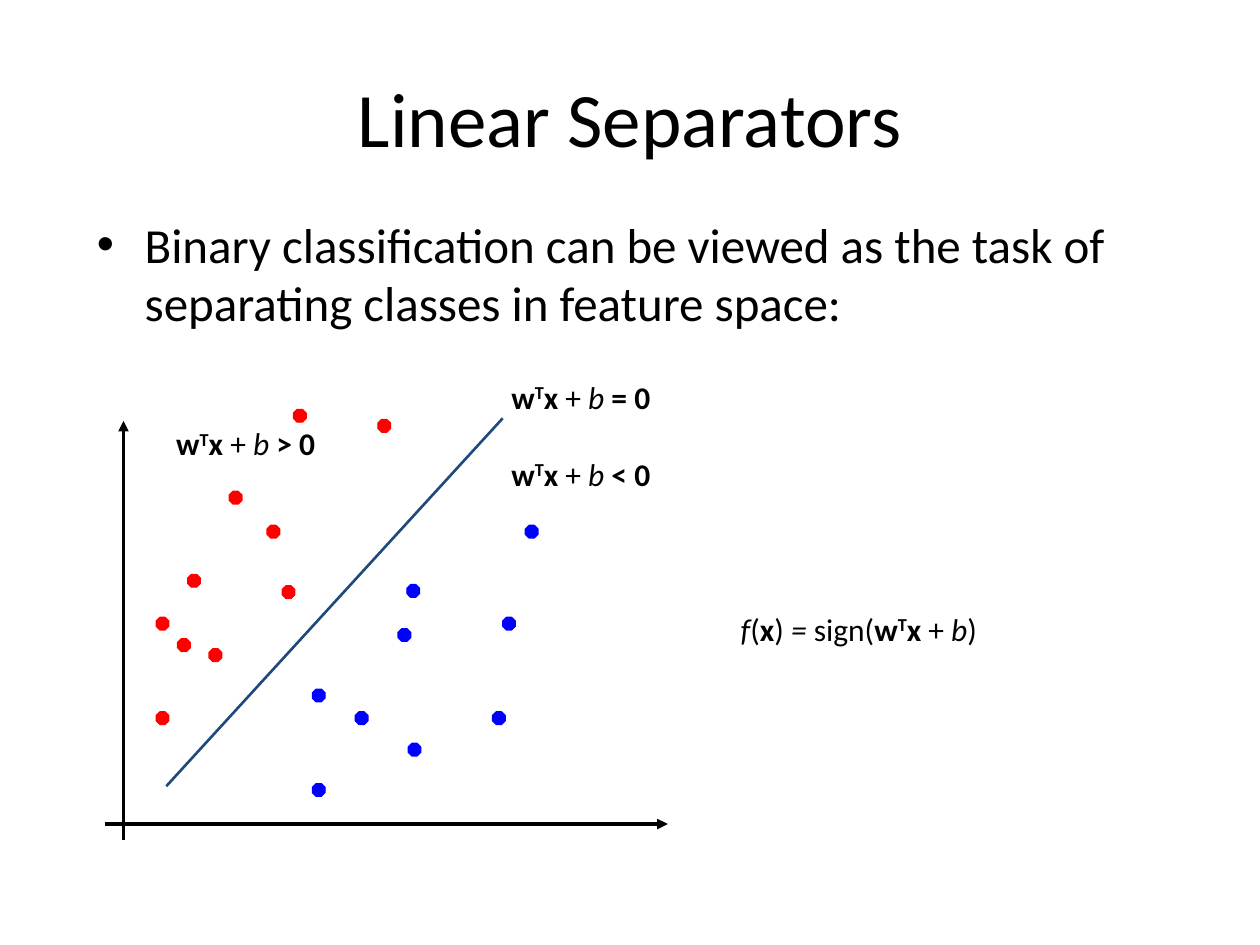
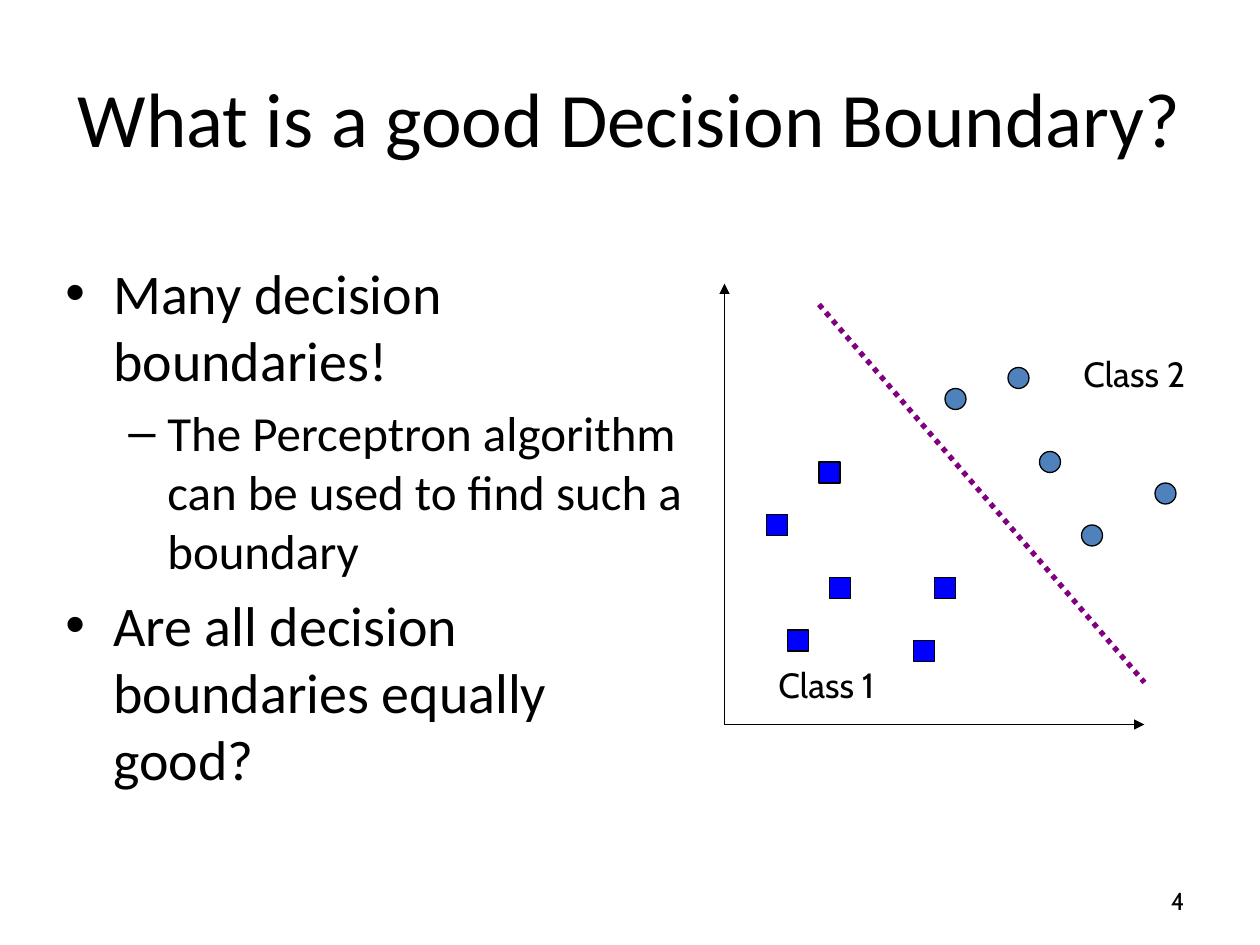
from lxml.etree import SubElement
from pptx import Presentation
from pptx.dml.color import RGBColor
from pptx.enum.dml import MSO_LINE as Dash
from pptx.enum.shapes import MSO_CONNECTOR as Conn, MSO_SHAPE as Kind
from pptx.enum.text import MSO_ANCHOR as Anchor, PP_ALIGN as Align
from pptx.oxml.ns import qn
from pptx.util import Inches, Pt

COLS, ROWS = 100, 75
WIDE, HIGH = Inches(10), Inches(7.5)
STEP = 10 / 12
TITLE_BOX = (5, 3, 90, 12.5)
MAIN, ALT = "Calibri", "Cabin"
HUES = {
    "ink": "000000", "red": "FF0000", "blue": "0000FF",
    "navy": "1F497D", "steel": "4F81BD", "plum": "800080",
}
LEVELS = [("•", 0.38, 0.38), ("–", 0.81, 0.31)]

RED_DOTS = [
    (21.2, 41.7), (14.9, 45.6), (16.6, 51.5), (12.4, 56.5), (18.2, 39),
    (12.4, 49), (14.1, 50.7), (22.4, 46.5), (23.3, 32.5), (30, 33.3),
]
BLUE_DOTS = [
    (32.3, 46.4), (28.2, 56.5), (39.1, 56.5), (24.8, 62.2), (31.6, 49.9),
    (24.8, 54.7), (32.4, 59), (39.9, 49), (41.7, 41.7),
]
DISCS = [(96, 35), (99, 43), (110, 46), (90, 37), (103, 50)]
SQUARES = [(73, 49), (89, 55), (87, 61), (79, 55), (75, 60), (78, 44)]

SCORE = [("w", "b"), ("T", "bs"), ("x ", "b"), ("+ ", ""), ("b", "i")]
RULE = [("f", "i"), ("(", ""), ("x", "b"), (")", ""), (" = ", "i"), ("sign(", "")]


def place(*cells):
    """Turn alternating columns and rows into slide lengths."""
    units = (WIDE / COLS, HIGH / ROWS)
    return [round(n * units[i % 2]) for i, n in enumerate(cells)]


def scale(spots):
    """Turn steps of a twelfth of an inch into grid cells."""
    return [(x * STEP, y * STEP) for x, y in spots]


def hue(name):
    """Look up a colour by name."""
    return RGBColor.from_string(HUES[name])


def style(para, size, face=MAIN):
    """Set the font of a paragraph."""
    font = para.font
    font.size, font.name = Pt(size), face
    font.color.rgb = hue("ink")


def start(deck, title):
    """Add a title-only slide with its heading."""
    slide = deck.slides.add_slide(deck.slide_layouts[5])
    head = slide.shapes.title
    head.left, head.top, head.width, head.height = place(*TITLE_BOX)
    frame = head.text_frame
    frame.text, frame.vertical_anchor = title, Anchor.MIDDLE
    frame.paragraphs[0].alignment = Align.CENTER
    style(frame.paragraphs[0], 44)
    return slide


def frame_at(slide, box, wrap=True):
    """Add a text box and return its frame."""
    frame = slide.shapes.add_textbox(*place(*box)).text_frame
    frame.word_wrap = wrap
    return frame


def label(slide, box, text, size, wrap=True, align=Align.LEFT, anchor=Anchor.TOP):
    """Write one short line of text."""
    frame = frame_at(slide, box, wrap)
    frame.text, frame.vertical_anchor = text, anchor
    frame.paragraphs[0].alignment = align
    style(frame.paragraphs[0], size, ALT)


def math(slide, box, parts):
    """Write a formula from runs marked b, i or s for superscript."""
    para = frame_at(slide, box).paragraphs[0]
    style(para, 18)
    for text, marks in parts:
        run = para.add_run()
        run.text = text
        run.font.bold, run.font.italic = "b" in marks, "i" in marks
        if "s" in marks:
            run.font._element.set("baseline", "30000")


def bullets(slide, box, items):
    """Write bulleted lines given as level, size and text."""
    frame = frame_at(slide, box)
    for i, (level, size, text) in enumerate(items):
        para = frame.add_paragraph() if i else frame.paragraphs[0]
        para.text, para.level = text, level
        sign, left, hang = LEVELS[level]
        props = para._p.get_or_add_pPr()
        props.set("marL", str(Inches(left)))
        props.set("indent", str(-Inches(hang)))
        SubElement(props, qn("a:buFont")).set("typeface", "Arial")
        SubElement(props, qn("a:buChar")).set("char", sign)
        if i:
            para.space_before = Pt(size * 0.2)
        style(para, size)


def line(slide, ends, color, width, dash=None, arrow=False):
    """Draw a straight line, dashed or with an arrowhead if asked."""
    link = slide.shapes.add_connector(Conn.STRAIGHT, *place(*ends))
    link.line.color.rgb, link.line.width = hue(color), Pt(width)
    if dash:
        link.line.dash_style = dash
    if arrow:
        SubElement(link.line._get_or_add_ln(), qn("a:tailEnd")).set("type", "triangle")
    SubElement(link._element.spPr, qn("a:effectLst"))


def dots(slide, kind, spots, size, fill, edge):
    """Scatter equal marks over the plot."""
    for x, y in spots:
        dot = slide.shapes.add_shape(kind, *place(x, y, size, size))
        dot.shadow.inherit = False
        dot.fill.solid()
        dot.fill.fore_color.rgb = hue(fill)
        dot.line.color.rgb, dot.line.width = hue(edge), Pt(0.75)


def linear(deck):
    """Build the slide on linear separators."""
    slide = start(deck, "Linear Separators")
    bullets(slide, (6.7, 16.5, 90, 55), [
        (0, 28, "Binary classification can be viewed as the task of "
                "separating classes in feature space:"),
    ])
    for axis in [(9.8, 66.7, 9.8, 33.4), (8.3, 65.4, 53, 65.4)]:
        line(slide, axis, "ink", 2, arrow=True)
    dots(slide, Kind.OCTAGON, RED_DOTS, 1, "red", "red")
    dots(slide, Kind.OCTAGON, BLUE_DOTS, 1, "blue", "blue")
    line(slide, (13.2, 62.4, 39.9, 33.2), "navy", 1.5)
    for x, y, sign in [(39.6, 29.5, "="), (39.6, 35.6, "<"), (13, 33.2, ">")]:
        math(slide, (x, y, 29.2, 5), SCORE + [(f" {sign} 0", "b")])
    math(slide, (57.8, 47.9, 32.1, 5), RULE + SCORE + [(")", "")])


def border(deck):
    """Build the slide on decision boundaries."""
    slide = start(deck, "What is a good Decision Boundary?")
    bullets(slide, (4.2, 20, 51.7, 50.8), [
        (0, 32, "Many decision boundaries!"),
        (1, 28, "The Perceptron algorithm can be used to find such a boundary"),
        (0, 32, "Are all decision boundaries equally good?"),
    ])
    label(slide, (71.7, 69.5, 23.3, 4), "4", 14, align=Align.RIGHT, anchor=Anchor.MIDDLE)
    root, top, end = scale([(69, 69), (69, 27), (109, 69)])
    for tip in (top, end):
        line(slide, root + tip, "ink", 1, arrow=True)
    dots(slide, Kind.OVAL, scale(DISCS), 2 * STEP, "steel", "ink")
    dots(slide, Kind.RECTANGLE, scale(SQUARES), 2 * STEP, "blue", "ink")
    label(slide, (60.8, 52.2, 10.6, 4.3), "Class 1", 20, wrap=False)
    label(slide, (85, 27.5, 10.6, 4.3), "Class 2", 20, wrap=False)
    high, low = scale([(78, 29), (109, 65)])
    line(slide, high + low, "plum", 3, dash=Dash.ROUND_DOT)


def main():
    """Build and save the deck."""
    deck = Presentation()
    deck.slide_width, deck.slide_height = WIDE, HIGH
    linear(deck)
    border(deck)
    deck.save("out.pptx")


if __name__ == "__main__":
    main()
